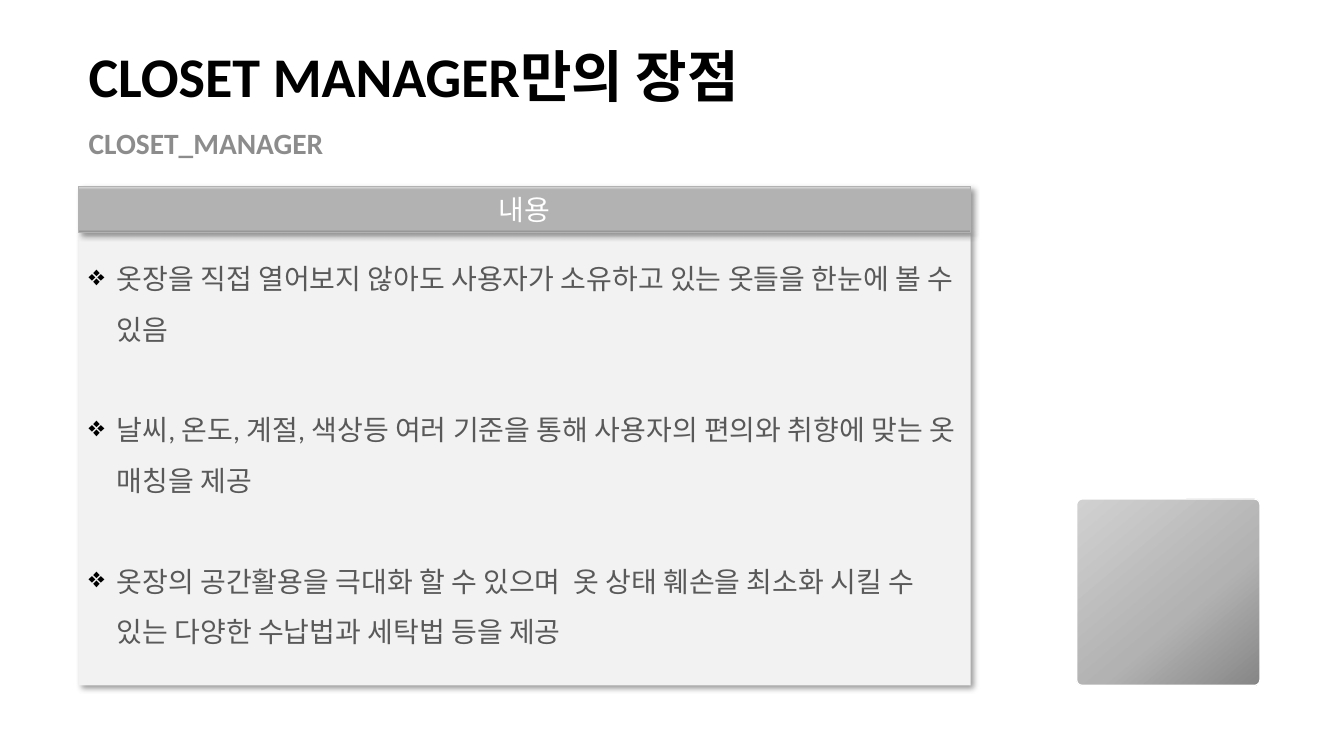
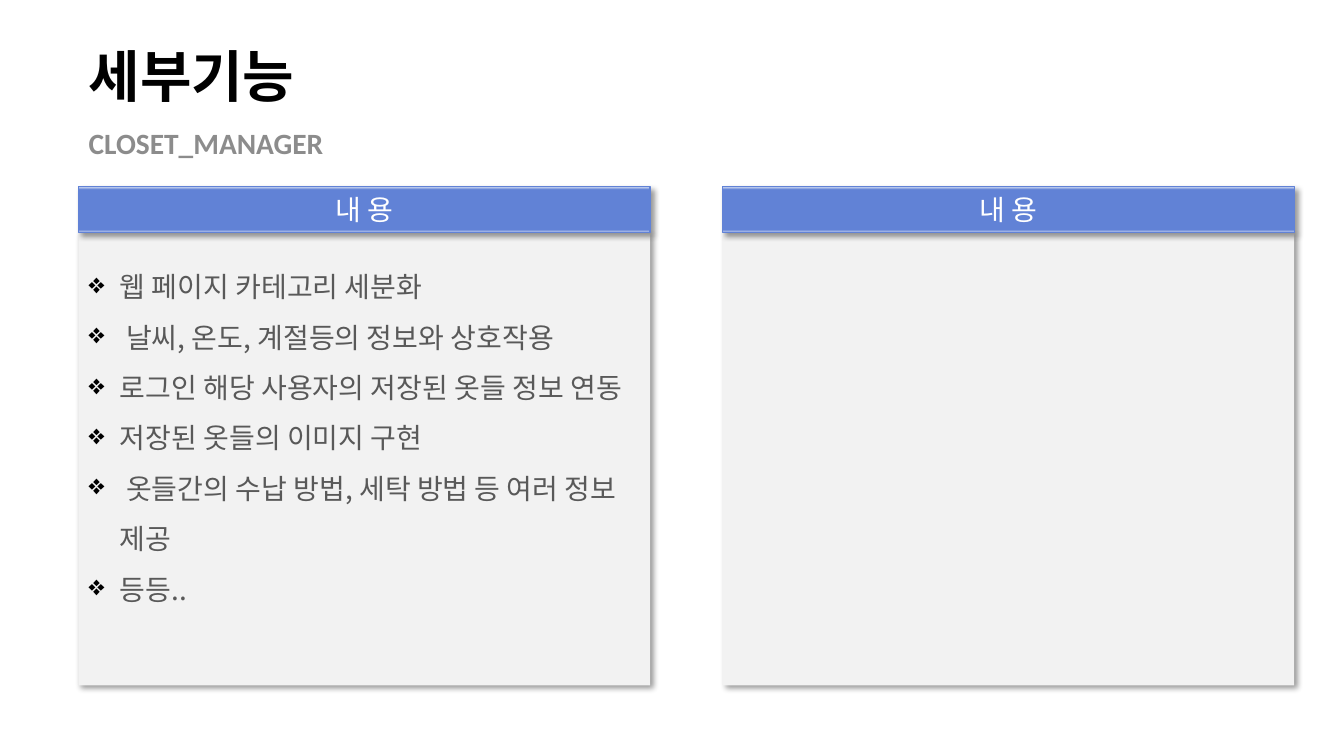
"""Build two slides on the strengths and functions of a closet manager."""
from dataclasses import dataclass

from lxml.etree import SubElement
from pptx import Presentation
from pptx.dml.color import RGBColor
from pptx.enum.shapes import MSO_SHAPE
from pptx.enum.text import MSO_ANCHOR, PP_ALIGN
from pptx.oxml.ns import qn
from pptx.shapes.autoshape import Shape
from pptx.slide import Slide
from pptx.text.text import _Paragraph
from pptx.util import Pt

BLACK = RGBColor(0x00, 0x00, 0x00)
WHITE = RGBColor(0xFF, 0xFF, 0xFF)
SUBTITLE_GREY = RGBColor(0x8C, 0x8C, 0x8C)
BODY_GREY = RGBColor(0x59, 0x59, 0x59)
PANEL_GREY = RGBColor(0xF2, 0xF2, 0xF2)
DARK_GREY = RGBColor(0x86, 0x86, 0x86)
MID_GREY = RGBColor(0xB2, 0xB2, 0xB2)
SOFT_GREY = RGBColor(0xD1, 0xD1, 0xD1)
LIGHT_GREY = RGBColor(0xE0, 0xE0, 0xE0)
BLUE = RGBColor(0x61, 0x82, 0xD6)
SOFT_BLUE = RGBColor(0xC0, 0xCD, 0xEF)
LIGHT_BLUE = RGBColor(0xDF, 0xE6, 0xF7)

LATIN = "Calibri"
KOREAN = "Noto Sans CJK KR"
SUBTITLE = "CLOSET_MANAGER"
LEFT = 56.2
BAND_TOP, BAND_HEIGHT = 133.2, 33.1
PANEL_HEIGHT = 323.3
HALF_WIDTH, HALF_PITCH = 408.2, 460.1


@dataclass(frozen=True)
class Gradient:
    """Colour stops by percentage, with a clockwise angle in degrees."""
    stops: tuple[tuple[int, RGBColor], ...]
    angle: int


@dataclass(frozen=True)
class Panel:
    """A headed box with an optional bulleted list."""
    left: float
    width: float
    heading: str
    band: Gradient
    edge: RGBColor
    bullets: tuple[str, ...] = ()
    font: str = LATIN
    inset_top: float = 8.6
    indent: float = 20
    gap: float = 0


GREY_BAND = Gradient(((0, DARK_GREY), (7, MID_GREY), (93, MID_GREY), (100, LIGHT_GREY)), 270)
BLUE_BAND = Gradient(((0, LIGHT_BLUE), (7, BLUE), (93, BLUE), (100, SOFT_BLUE)), 90)
TILE = Gradient(((0, SOFT_GREY), (60, MID_GREY), (100, DARK_GREY)), 50)

STRENGTHS = Panel(LEFT, 637.2, "내용", GREY_BAND, MID_GREY, (
    "옷장을 직접 열어보지 않아도 사용자가 소유하고 있는 옷들을 한눈에 볼 수 있음",
    "날씨, 온도, 계절, 색상등 여러 기준을 통해 사용자의 편의와 취향에 맞는 옷 매칭을 제공",
    "옷장의 공간활용을 극대화 할 수 있으며  옷 상태 훼손을 최소화 시킬 수 있는 다양한 수납법과 세탁법 등을 제공",
), gap=36)
FUNCTIONS = Panel(LEFT, HALF_WIDTH, "내 용", BLUE_BAND, BLUE, (
    "웹 페이지 카테고리 세분화",
    " 날씨, 온도, 계절등의 정보와 상호작용",
    "로그인 해당 사용자의 저장된 옷들 정보 연동",
    "저장된 옷들의 이미지 구현",
    " 옷들간의 수납 방법, 세탁 방법 등 여러 정보 제공",
    "등등..",
), font=KOREAN, inset_top=14.4, indent=22.3)
OPEN_PANEL = Panel(LEFT + HALF_PITCH, HALF_WIDTH, "내 용", BLUE_BAND, BLUE)


def add_run(paragraph: _Paragraph, text: str, size: float, color: RGBColor,
            font: str = LATIN, bold: bool = False) -> None:
    """Append one styled run."""
    run = paragraph.add_run()
    run.text = text
    run.font.size = Pt(size)
    run.font.name = font
    run.font.bold = bold
    run.font.color.rgb = color


def add_box(slide: Slide, kind: MSO_SHAPE, left: float, top: float,
            width: float, height: float) -> Shape:
    """Add a preset shape without a shadow."""
    box = slide.shapes.add_shape(kind, Pt(left), Pt(top), Pt(width), Pt(height))
    box.shadow.inherit = False
    return box


def add_shadow(shape: Shape) -> None:
    """Give a shape the soft shadow used by all panels."""
    effects = shape._element.spPr.find(qn("a:effectLst"))
    shadow = SubElement(effects, qn("a:outerShdw"), blurRad=str(Pt(4)), dist=str(Pt(3)),
                        dir=str(45 * 60000), algn="tl", rotWithShape="0")
    color = SubElement(shadow, qn("a:srgbClr"), val=str(BLACK))
    SubElement(color, qn("a:alpha"), val="40000")


def fill_gradient(shape: Shape, gradient: Gradient, edge: RGBColor) -> None:
    """Fill a shape with a gradient and draw its edge."""
    shape.fill.gradient()
    shape.fill.gradient_angle = 360 - gradient.angle
    stops = shape._element.spPr.find(qn("a:gradFill")).find(qn("a:gsLst"))
    for stop in list(stops):
        stops.remove(stop)
    for percent, color in gradient.stops:
        stop = SubElement(stops, qn("a:gs"), pos=str(percent * 1000))
        SubElement(stop, qn("a:srgbClr"), val=str(color))
    shape.line.color.rgb = edge
    shape.line.width = Pt(1)


def add_bullet(paragraph: _Paragraph, text: str, panel: Panel) -> None:
    """Write one bulleted paragraph of a panel."""
    paragraph.alignment = PP_ALIGN.LEFT
    paragraph.line_spacing = 1.5
    paragraph.space_after = Pt(panel.gap)
    properties = paragraph._p.get_or_add_pPr()
    properties.set("marL", str(Pt(panel.indent)))
    properties.set("indent", str(-Pt(panel.indent)))
    SubElement(SubElement(properties, qn("a:buClr")), qn("a:srgbClr"), val=str(BLACK))
    SubElement(properties, qn("a:buChar"), char="❖")
    add_run(paragraph, text, 20, BODY_GREY, panel.font)


def add_panel(slide: Slide, panel: Panel) -> None:
    """Draw a panel with its heading band on top."""
    body = add_box(slide, MSO_SHAPE.RECTANGLE, panel.left, BAND_TOP + BAND_HEIGHT,
                   panel.width, PANEL_HEIGHT)
    body.fill.solid()
    body.fill.fore_color.rgb = PANEL_GREY
    body.line.fill.background()
    add_shadow(body)
    frame = body.text_frame
    frame.word_wrap = True
    frame.vertical_anchor = MSO_ANCHOR.TOP
    frame.margin_top = Pt(panel.inset_top)
    for index, text in enumerate(panel.bullets):
        add_bullet(frame.add_paragraph() if index else frame.paragraphs[0], text, panel)

    band = add_box(slide, MSO_SHAPE.RECTANGLE, panel.left, BAND_TOP, panel.width, BAND_HEIGHT)
    fill_gradient(band, panel.band, panel.edge)
    add_shadow(band)
    band.text_frame.vertical_anchor = MSO_ANCHOR.MIDDLE
    heading = band.text_frame.paragraphs[0]
    heading.alignment = PP_ALIGN.CENTER
    add_run(heading, panel.heading, 20, WHITE)


def add_heading(slide: Slide, text: str, top: float, height: float, size: float,
                color: RGBColor, anchor: MSO_ANCHOR) -> None:
    """Add one bold line of the slide heading."""
    frame = slide.shapes.add_textbox(Pt(LEFT), Pt(top), Pt(816), Pt(height)).text_frame
    frame.word_wrap = True
    frame.vertical_anchor = anchor
    add_run(frame.paragraphs[0], text, size, color, bold=True)


def add_slide(deck: Presentation, title: str, panels: tuple[Panel, ...]) -> Slide:
    """Add a slide with its title, subtitle and panels."""
    slide = deck.slides.add_slide(deck.slide_layouts[6])
    add_heading(slide, title, 26, 107, 40, BLACK, MSO_ANCHOR.TOP)
    add_heading(slide, SUBTITLE, 0, 118, 21, SUBTITLE_GREY, MSO_ANCHOR.BOTTOM)
    for panel in panels:
        add_panel(slide, panel)
    return slide


def main() -> None:
    """Build and save the deck."""
    deck = Presentation()
    deck.slide_width, deck.slide_height = Pt(960), Pt(540)
    strengths = add_slide(deck, "CLOSET MANAGER만의 장점", (STRENGTHS,))
    tile = add_box(strengths, MSO_SHAPE.ROUNDED_RECTANGLE, 769, 356.4, 131, 133.2)
    tile.adjustments[0] = 0.03
    fill_gradient(tile, TILE, WHITE)
    add_slide(deck, "세부기능", (FUNCTIONS, OPEN_PANEL))
    deck.save("out.pptx")


if __name__ == "__main__":
    main()
